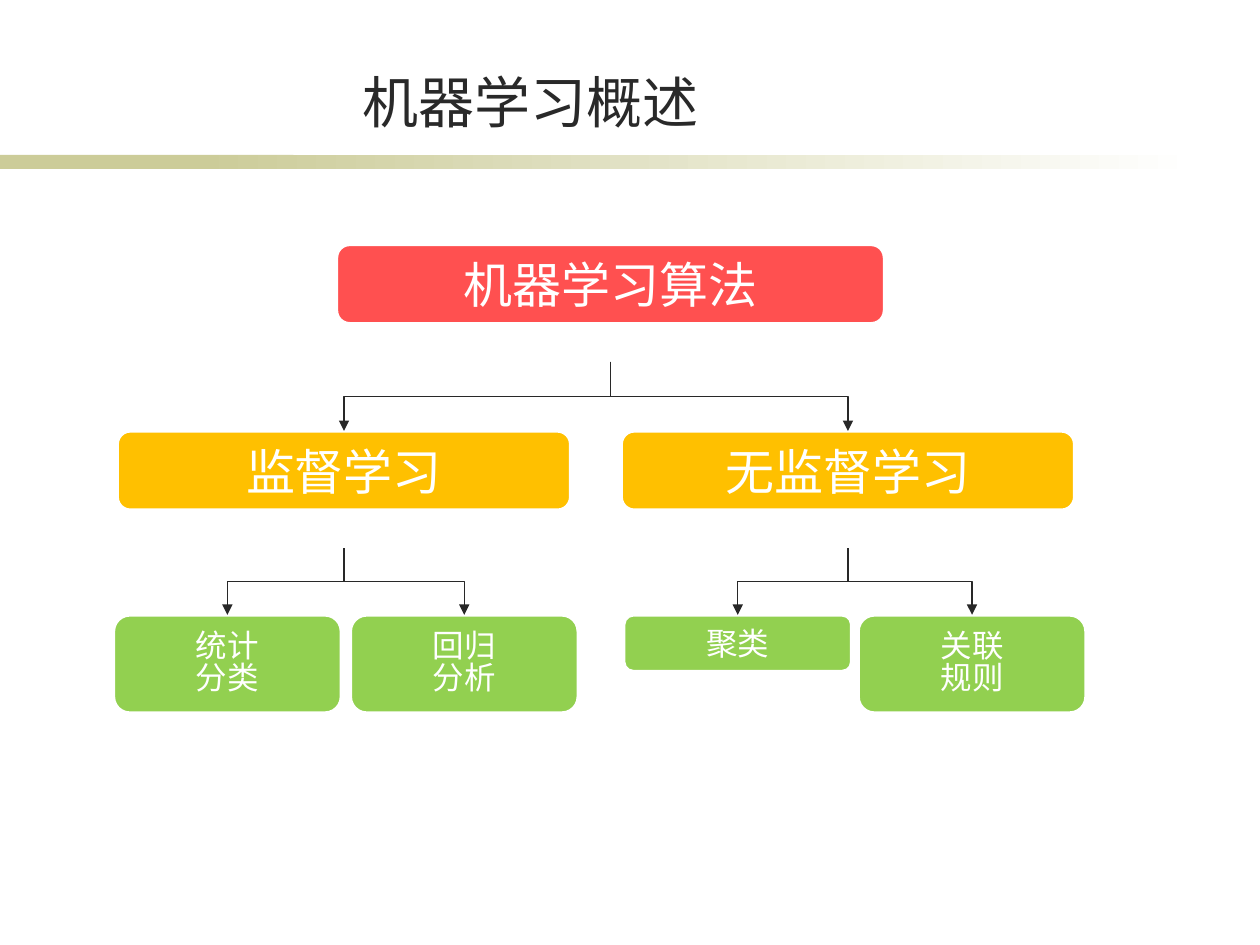
from dataclasses import dataclass

from lxml.etree import SubElement
from pptx import Presentation
from pptx.dml.color import RGBColor
from pptx.enum.shapes import MSO_CONNECTOR, MSO_SHAPE
from pptx.enum.text import MSO_ANCHOR, MSO_AUTO_SIZE, PP_ALIGN
from pptx.oxml.ns import qn
from pptx.util import Inches, Pt


@dataclass(frozen=True)
class Theme:
    ink: str = "292929"
    connector: str = "282828"
    white: str = "FFFFFF"
    band: str = "CCCC99"
    root: str = "FF5050"
    branch: str = "FFC000"
    leaf: str = "92D050"
    title_font: str = "Arial"
    box_font: str = "Noto Sans CJK SC"
    title_size: int = 32
    large_size: int = 28
    small_size: int = 18


def rgb(color):
    return RGBColor.from_string(color)


class SlideBuilder:
    def __init__(self, slide, theme):
        self.slide = slide
        self.theme = theme

    def style(self, paragraph, font_name, size, color):
        paragraph.alignment = PP_ALIGN.CENTER
        paragraph.font.name = font_name
        paragraph.font.size = Pt(size)
        paragraph.font.color.rgb = rgb(color)

    def title(self, text, left, top, width, height):
        shape = self.slide.shapes.title
        shape.left, shape.top = Inches(left), Inches(top)
        shape.width, shape.height = Inches(width), Inches(height)
        frame = shape.text_frame
        frame.text = text
        frame.auto_size = MSO_AUTO_SIZE.NONE
        frame.vertical_anchor = MSO_ANCHOR.BOTTOM
        frame.margin_bottom = 0
        self.style(frame.paragraphs[0], self.theme.title_font,
                   self.theme.title_size, self.theme.ink)

    def band(self, left, top, width, height, fade=False):
        shape = self.slide.shapes.add_shape(
            MSO_SHAPE.RECTANGLE, Inches(left), Inches(top), Inches(width), Inches(height))
        shape.shadow.inherit = False
        shape.line.fill.background()
        if fade:
            shape.fill.gradient()
            shape.fill.gradient_angle = 0
            for stop, color in zip(shape.fill.gradient_stops,
                                   (self.theme.band, self.theme.white)):
                stop.color.rgb = rgb(color)
        else:
            shape.fill.solid()
            shape.fill.fore_color.rgb = rgb(self.theme.band)

    def box(self, text, left, top, width, height, color, size):
        shape = self.slide.shapes.add_shape(
            MSO_SHAPE.ROUNDED_RECTANGLE,
            Inches(left), Inches(top), Inches(width), Inches(height))
        shape.shadow.inherit = False
        shape.fill.solid()
        shape.fill.fore_color.rgb = rgb(color)
        shape.line.color.rgb = rgb(self.theme.white)
        shape.line.width = Pt(2)
        frame = shape.text_frame
        frame.text = text
        frame.word_wrap = True
        frame.vertical_anchor = MSO_ANCHOR.MIDDLE
        for paragraph in frame.paragraphs:
            self.style(paragraph, self.theme.box_font, size, self.theme.white)
            if len(frame.paragraphs) > 1:
                paragraph.line_spacing = 0.83

    def elbow(self, start_x, start_y, end_x, end_y):
        """Draw a down-across-down arrow: a sideways elbow, turned a quarter."""
        drop, span = end_y - start_y, abs(end_x - start_x)
        left = (start_x + end_x - drop) / 2
        top = (start_y + end_y - span) / 2
        right = left + drop
        goes_right = end_x > start_x
        begin, end = (right, left) if goes_right else (left, right)
        connector = self.slide.shapes.add_connector(
            MSO_CONNECTOR.ELBOW, Inches(begin), Inches(top), Inches(end), Inches(top + span))
        connector.line.color.rgb = rgb(self.theme.connector)
        connector.line.width = Pt(0.75)
        properties = connector._element.spPr
        quarter_turns = 3 if goes_right else 1
        properties.find(qn("a:xfrm")).set("rot", str(quarter_turns * 5400000))
        SubElement(properties.find(qn("a:ln")), qn("a:tailEnd"), type="triangle")
        SubElement(properties, qn("a:effectLst"))


def main():
    presentation = Presentation()
    presentation.slide_width, presentation.slide_height = Inches(10), Inches(7.5)
    slide = presentation.slides.add_slide(presentation.slide_layouts[5])
    theme = Theme()
    builder = SlideBuilder(slide, theme)

    builder.band(0, 1.23, 2.33, 0.11)
    builder.band(1.58, 1.23, 7.92, 0.11, fade=True)
    builder.title("机器学习概述", 1.14, 0.44, 6.14, 0.63)

    root_left, root_top, root_width = 2.67, 1.94, 4.35
    branch_top, branch_width = 3.42, 3.6
    leaf_top, leaf_width = 4.88, 1.81
    large_height, stem_gap = 0.63, 0.3
    leaf_heights = {1: 0.45, 2: 0.78}
    branches = [
        ("监督学习", 0.93, [("统计\n分类", 0.9), ("回归\n分析", 2.78)]),
        ("无监督学习", 4.93, [("聚类", 4.95), ("关联\n规则", 6.81)]),
    ]

    builder.box("机器学习算法", root_left, root_top, root_width, large_height,
                theme.root, theme.large_size)
    root_center = root_left + root_width / 2
    for branch_text, branch_left, leaves in branches:
        builder.box(branch_text, branch_left, branch_top, branch_width, large_height,
                    theme.branch, theme.large_size)
        branch_center = branch_left + branch_width / 2
        builder.elbow(root_center, root_top + large_height + stem_gap,
                      branch_center, branch_top)
        for leaf_text, leaf_left in leaves:
            leaf_height = leaf_heights[len(leaf_text.split("\n"))]
            builder.box(leaf_text, leaf_left, leaf_top, leaf_width, leaf_height,
                        theme.leaf, theme.small_size)
            builder.elbow(branch_center, branch_top + large_height + stem_gap,
                          leaf_left + leaf_width / 2, leaf_top)

    presentation.save("out.pptx")


if __name__ == "__main__":
    main()
